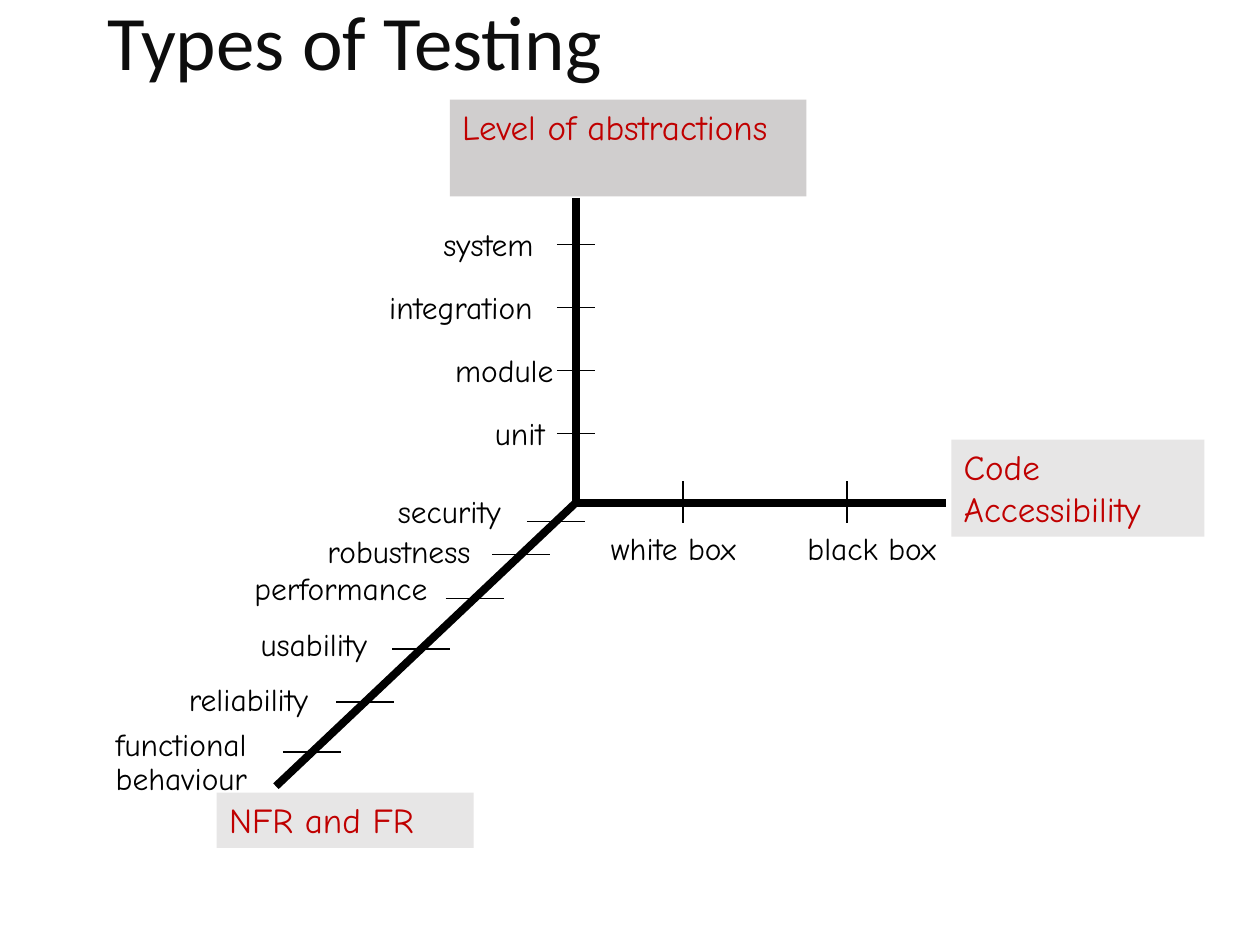
from lxml.etree import SubElement
from pptx import Presentation
from pptx.dml.color import RGBColor as RGB
from pptx.enum.shapes import MSO_CONNECTOR as CONN, MSO_SHAPE as SHAPE
from pptx.enum.text import MSO_ANCHOR as ANCHOR, PP_ALIGN as ALIGN
from pptx.oxml.ns import qn
from pptx.util import Inches, Pt

BLACK = RGB(0x00, 0x00, 0x00)
TITLE_INK = RGB(0x0D, 0x0D, 0x0D)
RED = RGB(0xC0, 0x00, 0x00)
GRAY = RGB(0xD0, 0xCE, 0xCE)
LIGHT_GRAY = RGB(0xE7, 0xE6, 0xE6)
AXIS_PT, TICK_PT = 4.5, 1
LABEL_H = 0.4


def write(sp, text, size=18, font="Comic Neue", color=BLACK, align=ALIGN.LEFT,
          anchor=ANCHOR.TOP, spacing=None):
    tf = sp.text_frame
    tf.word_wrap = True
    tf.vertical_anchor = anchor
    p = tf.paragraphs[0]
    p.alignment = align
    p.line_spacing = spacing
    r = p.add_run()
    r.text = text
    r.font.size = Pt(size)
    r.font.name = font
    r.font.color.rgb = color


def add_label(s, text, x, y, w, h=LABEL_H, **fmt):
    sp = s.shapes.add_textbox(Inches(x), Inches(y), Inches(w), Inches(h))
    write(sp, text, **fmt)


def add_panel(s, text, x, y, w, h, fill):
    sp = s.shapes.add_shape(SHAPE.RECTANGLE, Inches(x), Inches(y), Inches(w), Inches(h))
    sp.shadow.inherit = False
    sp.fill.solid()
    sp.fill.fore_color.rgb = fill
    sp.line.fill.background()
    write(sp, text, size=20, color=RED)


def add_line(s, x1, y1, x2, y2, width):
    line = s.shapes.add_connector(CONN.STRAIGHT, Inches(x1), Inches(y1), Inches(x2), Inches(y2))
    line.line.color.rgb = BLACK
    line.line.width = Pt(width)
    SubElement(line._element.spPr, qn("a:effectLst"))


def add_title(s, x, y, w, h):
    sp = s.shapes.title
    sp.left, sp.top, sp.width, sp.height = Inches(x), Inches(y), Inches(w), Inches(h)
    write(sp, "Types of Testing", size=44, font="Calibri", color=TITLE_INK,
          anchor=ANCHOR.MIDDLE, spacing=0.9)


def add_abstraction_axis(s, x, y, h):
    add_line(s, x, y, x, y + h, AXIS_PT)
    levels = [("system", -1.15, 1.08, ALIGN.LEFT), ("integration", -1.58, 1.5, ALIGN.LEFT),
              ("module", -1.26, 1.18, ALIGN.RIGHT), ("unit", -0.74, 0.67, ALIGN.LEFT)]
    for i, (text, dx, w, align) in enumerate(levels):
        tick_y = y + 0.37 + 0.5 * i
        add_line(s, x - 0.15, tick_y, x + 0.15, tick_y, TICK_PT)
        add_label(s, text, x + dx, tick_y - LABEL_H / 2, w, align=align)
    add_panel(s, "Level of abstractions", x - 1, y - 0.78, 2.83, 0.77, GRAY)


def add_access_axis(s, x, y, w):
    add_line(s, x, y, x + w, y, AXIS_PT)
    for text, tick_dx, label_dx in [("white box", 0.85, 0.18), ("black box", 2.15, 1.74)]:
        add_line(s, x + tick_dx, y - 0.17, x + tick_dx, y + 0.16, TICK_PT)
        add_label(s, text, x + label_dx, y + 0.16, 1.39)
    add_panel(s, "Code Accessibility", x + w + 0.04, y - 0.5, 2.01, 0.77, LIGHT_GRAY)


def add_requirement_axis(s, x, y, w, h):
    add_line(s, x + w, y, x, y + h, AXIS_PT)
    kinds = [("security", 0.15, 0.87, -0.13, 1.23),
             ("robustness", 0.41, 0.31, 0.18, 1.59),
             ("performance", 0.76, -0.27, 0.48, 1.83),
             ("usability", 1.16, -0.22, 0.92, 1.23),
             ("reliability", 1.58, -0.79, 1.36, 1.45)]
    for text, tick_dy, dx, dy, label_w in kinds:
        add_slanted_tick(s, x, y, w, h, tick_dy)
        add_label(s, text, x + dx, y + dy, label_w)
    add_slanted_tick(s, x, y, w, h, 1.98)
    add_label(s, "functional behaviour", x - 1.37, y + 1.75, 1.61, 0.64, spacing=0.9)
    add_panel(s, "NFR and FR", x - 0.47, y + h + 0.05, 2.04, 0.44, LIGHT_GRAY)


def add_slanted_tick(s, x, y, w, h, dy):
    center = x + w * (1 - dy / h)
    add_line(s, center - 0.23, y + dy, center + 0.23, y + dy, TICK_PT)


def main():
    prs = Presentation()
    prs.slide_width, prs.slide_height = Inches(10), Inches(7.5)
    s = prs.slides.add_slide(prs.slide_layouts[5])
    origin_x, origin_y = 4.57, 3.99
    add_title(s, 0.75, -0.26, 8.5, 1.25)
    add_abstraction_axis(s, origin_x, 1.57, origin_y - 1.57)
    add_requirement_axis(s, 2.19, origin_y, origin_x - 2.19, 2.25)
    add_access_axis(s, origin_x, origin_y, 2.94)
    prs.save("out.pptx")


if __name__ == "__main__":
    main()
